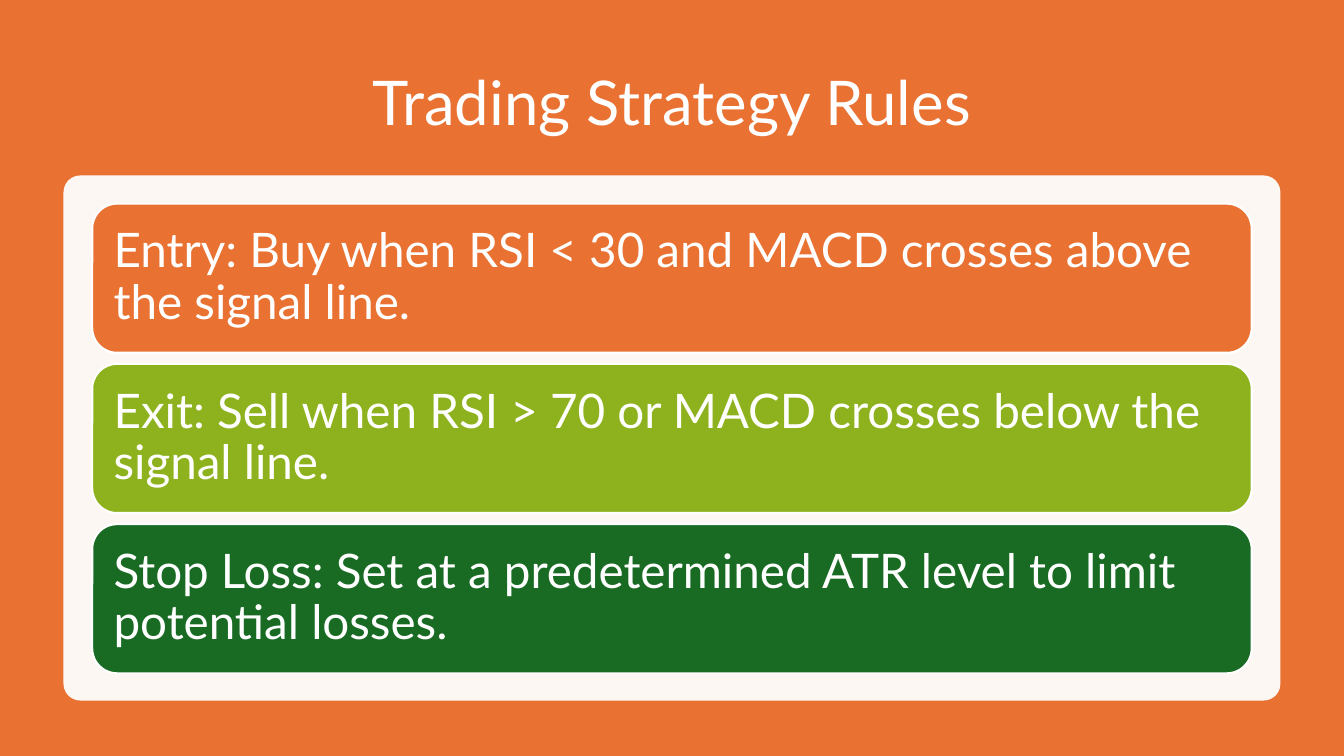
"""Build the Trading Strategy Rules slide: a title above three stacked rule cards."""
import pptx
import pptx.dml.color
import pptx.enum.shapes
import pptx.enum.text
import pptx.util
from dataclasses import dataclass
from lxml import etree

Inches, Pt = pptx.util.Inches, pptx.util.Pt
MSO_SHAPE = pptx.enum.shapes.MSO_SHAPE
PP_ALIGN = pptx.enum.text.PP_ALIGN


@dataclass(frozen=True)
class Theme:
    orange: str = "E97132"
    lime: str = "8EB21E"
    green: str = "196B24"
    white: str = "FFFFFF"
    font: str = "Lato"
    title_size: int = 44
    rule_size: int = 34
    panel_opacity: int = 95


theme = Theme()


def add_block(kind, left, top, width, height, fill):
    sp = s.shapes.add_shape(kind, *map(Inches, (left, top, width, height)))
    sp.shadow.inherit = False
    sp.fill.solid()
    sp.fill.fore_color.rgb = pptx.dml.color.RGBColor.from_string(fill)
    sp.line.fill.background()
    return sp


def write_text(sp, text, size, align):
    tf = sp.text_frame
    tf.word_wrap = True
    tf.auto_size = pptx.enum.text.MSO_AUTO_SIZE.NONE
    tf.vertical_anchor = pptx.enum.text.MSO_ANCHOR.MIDDLE
    p = tf.paragraphs[0]
    p.alignment = align
    p.line_spacing = 0.9
    r = p.add_run()
    r.text = text
    r.font.name = theme.font
    r.font.size = Pt(size)
    r.font.color.rgb = pptx.dml.color.RGBColor.from_string(theme.white)
    return tf


slide_w, slide_h = 13.33, 7.5
column_w = 11.5
column_left = (slide_w - column_w) / 2
panel_w, panel_top, panel_h = 12.07, 1.74, 5.21
card_top, card_h, card_pitch = 2.02, 1.48, 1.59

prs = pptx.Presentation()
prs.slide_width, prs.slide_height = Inches(slide_w), Inches(slide_h)
s = prs.slides.add_slide(prs.slide_layouts[5])

title = s.shapes.title
title.left, title.top = Inches(column_left), Inches(0.5)
title.width, title.height = Inches(column_w), Inches(1.1)
write_text(title, "Trading Strategy Rules", theme.title_size, PP_ALIGN.CENTER)

backdrop = add_block(MSO_SHAPE.RECTANGLE, 0, 0, slide_w, slide_h, theme.orange)
title.element.addprevious(backdrop.element)

panel = add_block(MSO_SHAPE.ROUNDED_RECTANGLE, (slide_w - panel_w) / 2, panel_top,
                  panel_w, panel_h, theme.white)
panel.adjustments[0] = 0.032
color = panel.element.spPr.find(".//" + pptx.oxml.ns.qn("a:srgbClr"))
etree.SubElement(color, pptx.oxml.ns.qn("a:alpha"), val=str(theme.panel_opacity * 1000))

rules = [
    ("Entry: Buy when RSI < 30 and MACD crosses above the signal line.", theme.orange),
    ("Exit: Sell when RSI > 70 or MACD crosses below the signal line.", theme.lime),
    ("Stop Loss: Set at a predetermined ATR level to limit potential losses.", theme.green),
]
for row, (rule, fill) in enumerate(rules):
    card = add_block(MSO_SHAPE.ROUNDED_RECTANGLE, column_left, card_top + row * card_pitch,
                     column_w, card_h, fill)
    card.line.color.rgb = pptx.dml.color.RGBColor.from_string(theme.white)
    card.line.width = Pt(1.5)
    tf = write_text(card, rule, theme.rule_size, PP_ALIGN.LEFT)
    tf.margin_left = tf.margin_right = tf.margin_top = tf.margin_bottom = Inches(0.14)

prs.save("out.pptx")
